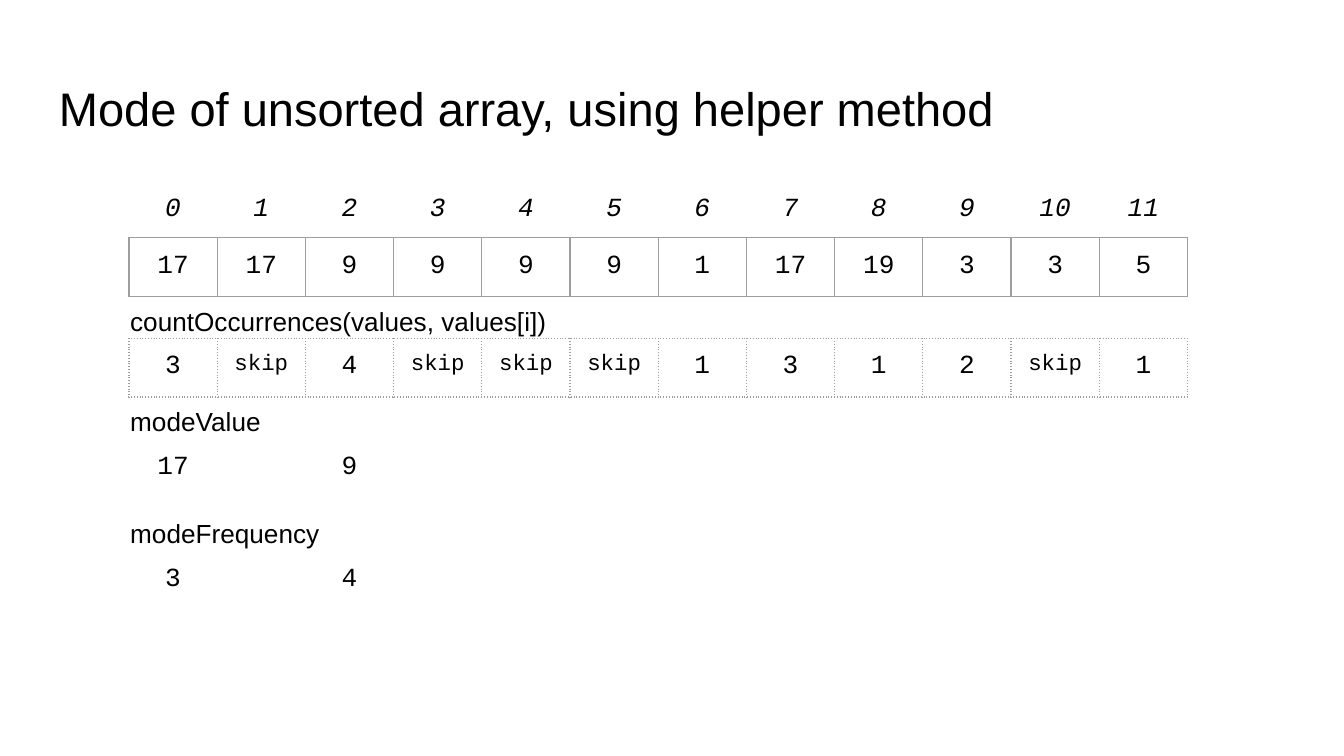
from lxml.etree import SubElement
from pptx import Presentation
from pptx.dml.color import RGBColor
from pptx.enum.text import MSO_ANCHOR, PP_ALIGN
from pptx.oxml.ns import qn
from pptx.util import Inches, Pt

BLACK = RGBColor(0x00, 0x00, 0x00)
GREY = RGBColor(0x9E, 0x9E, 0x9E)

# Content: title, labels (text, top, width) and rows (values, top, border dash)
TITLE = "Mode of unsorted array, using helper method"
LABELS = [
    ("countOccurrences(values, values[i])", 2.17, 3.63),
    ("modeValue", 2.92, 1.28),
    ("modeFrequency", 3.75, 1.89),
]
INDEX = [str(i) for i in range(12)]
VALUES = ["17", "17", "9", "9", "9", "9", "1", "17", "19", "3", "3", "5"]
COUNTS = ["3", "skip", "4", "skip", "skip", "skip",
          "1", "3", "1", "2", "skip", "1"]
ROWS = [
    (INDEX, 1.35, None),
    (VALUES, 1.77, "solid"),
    (COUNTS, 2.52, "sysDot"),
    (["17", "", "9"], 3.27, None),
    (["3", "", "4"], 4.10, None),
]

# Layout
COLS = len(VALUES)
LEFT, WIDTH, HEIGHT = 0.96, 7.88, 0.43
PAD = Inches(0.1)


def style(par, size, face):
    par.font.size = Pt(size)
    par.font.name = face
    par.font.color.rgb = BLACK


def add_text(slide, text, left, top, width, height, size):
    box = slide.shapes.add_textbox(
        Inches(left), Inches(top), Inches(width), Inches(height))
    frame = box.text_frame
    frame.word_wrap = True
    frame.margin_left = frame.margin_right = PAD
    frame.margin_top = frame.margin_bottom = PAD
    frame.vertical_anchor = MSO_ANCHOR.TOP
    frame.text = text
    style(frame.paragraphs[0], size, "Arial")


def set_border(cell, dash):
    props = cell._tc.get_or_add_tcPr()
    for side in ("a:lnL", "a:lnR", "a:lnT", "a:lnB"):
        line = SubElement(props, qn(side), w=str(Pt(0.75)))
        if dash:
            fill = SubElement(line, qn("a:solidFill"))
            SubElement(fill, qn("a:srgbClr"), val=str(GREY))
            SubElement(line, qn("a:prstDash"), val=dash)
        else:
            SubElement(line, qn("a:noFill"))


def add_row(slide, values, top, dash):
    table = slide.shapes.add_table(
        1, COLS, Inches(LEFT), Inches(top),
        Inches(WIDTH), Inches(HEIGHT)).table
    table.first_row = table.horz_banding = False
    for i in range(COLS):
        cell = table.cell(0, i)
        set_border(cell, dash)
        cell.fill.background()
        cell.margin_left = cell.margin_right = PAD
        cell.margin_top = cell.margin_bottom = PAD
        par = cell.text_frame.paragraphs[0]
        if i < len(values):
            par.text = values[i]
        par.alignment = PP_ALIGN.CENTER
        style(par, 12 if par.text == "skip" else 14, "Courier New")
        if values is INDEX:
            par.font.italic = True


def main():
    # Widescreen slide, 16 by 9
    deck = Presentation()
    deck.slide_width = Inches(10)
    deck.slide_height = deck.slide_width * 9 // 16
    slide = deck.slides.add_slide(deck.slide_layouts[6])

    # Title, array rows, then row labels
    add_text(slide, TITLE, 0.34, 0.49, 9.32, 0.63, 25.2)
    for values, top, dash in ROWS:
        add_row(slide, values, top, dash)
    for text, top, width in LABELS:
        add_text(slide, text, 0.87, top, width, 0.44, 14)

    deck.save("out.pptx")


if __name__ == "__main__":
    main()
